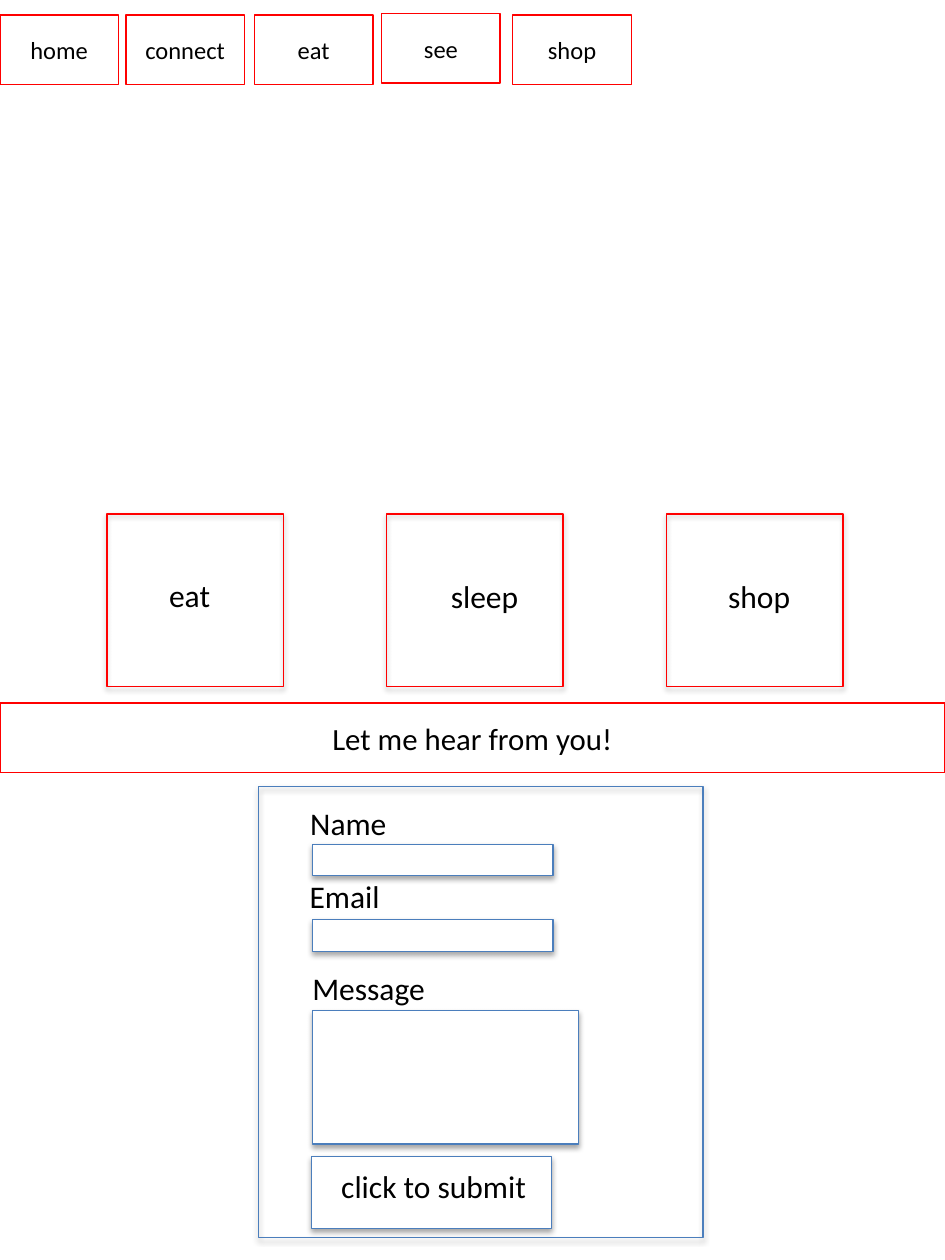
import pptx
import pptx.util
import pptx.dml.color
import pptx.enum.shapes
import pptx.enum.text
import pptx.oxml

Inches = pptx.util.Inches
Pt = pptx.util.Pt
CENTER = pptx.enum.text.PP_ALIGN.CENTER
LEFT = pptx.enum.text.PP_ALIGN.LEFT
RED, BLUE, WHITE, BLACK = "FF0000", "4B7EBC", "FFFFFF", "000000"
SHADOW = (
    '<a:effectLst xmlns:a="http://schemas.openxmlformats.org/drawingml/2006/main">'
    '<a:outerShdw blurRad="40000" dist="23000" dir="5400000" rotWithShape="0">'
    '<a:srgbClr val="000000"><a:alpha val="35000"/></a:srgbClr>'
    '</a:outerShdw></a:effectLst>'
)


def color(hex_code):
    return pptx.dml.color.RGBColor.from_string(hex_code)


def write(frame, words, size, align=CENTER):
    frame.text = words
    paragraph = frame.paragraphs[0]
    paragraph.alignment = align
    font = paragraph.runs[0].font
    font.name = "Calibri"
    font.size = Pt(size)
    font.color.rgb = color(BLACK)


def add_box(slide, left, top, width, height, outline, fill=None, raised=False):
    box = slide.shapes.add_shape(
        pptx.enum.shapes.MSO_SHAPE.RECTANGLE,
        Inches(left), Inches(top), Inches(width), Inches(height))
    if fill:
        box.fill.solid()
        box.fill.fore_color.rgb = color(fill)
    else:
        box.fill.background()
    box.line.color.rgb = color(outline)
    box.line.width = Pt(0.75)
    box.shadow.inherit = False
    if raised:
        properties = box.element.spPr
        plain = properties.find(pptx.oxml.ns.qn("a:effectLst"))
        properties.replace(plain, pptx.oxml.parse_xml(SHADOW))
    return box


def add_label(slide, left, top, width, words, align=CENTER):
    label = slide.shapes.add_textbox(
        Inches(left), Inches(top), Inches(width), Inches(0.4))
    label.text_frame.word_wrap = True
    write(label.text_frame, words, 18, align)


def add_button(slide, left, top, width, height, words, size):
    button = add_box(slide, left, top, width, height, RED)
    button.text_frame.vertical_anchor = pptx.enum.text.MSO_ANCHOR.MIDDLE
    write(button.text_frame, words, size)


def add_menu(slide, left, top):
    entries = [("home", 0, 0.01), ("connect", 1, 0.01), ("eat", 2.02, 0.01),
               ("see", 3.03, 0), ("shop", 4.07, 0.01)]
    for words, dx, dy in entries:
        add_button(slide, left + dx, top + dy, 0.94, 0.55, words, 14)


def add_tiles(slide, left, top):
    pitch = 2.22
    labels = [("eat", 0.31, 0.44, 0.69), ("sleep", 0.3, 0.45, 0.95),
              ("shop", 0.29, 0.45, 0.89)]
    for index, (words, dx, dy, width) in enumerate(labels):
        tile_left = left + index * pitch
        add_box(slide, tile_left, top, 1.4, 1.37, RED, raised=True)
        add_label(slide, tile_left + dx, top + dy, width, words)


def add_contact_form(slide, left, top, width, height):
    add_box(slide, left, top, width, height, BLUE, raised=True)
    fields = [("Name", 0.23, 0.09, 0.97, 0.46, 1.91, 0.25),
              ("Email", 0.2, 0.67, 0.97, 1.06, 1.91, 0.25),
              ("Message", 0.29, 1.4, 1.17, 1.78, 2.11, 1.06)]
    for words, dx, dy, label_width, field_dy, field_width, field_height in fields:
        add_label(slide, left + dx, top + dy, label_width, words)
        add_box(slide, left + 0.43, top + field_dy, field_width, field_height,
                BLUE, WHITE, raised=True)
    add_box(slide, left + 0.42, top + 2.94, 1.91, 0.57, BLUE, WHITE, raised=True)
    add_label(slide, left + 0.56, top + 2.97, 1.72, "click to submit", LEFT)


deck = pptx.Presentation()
deck.slide_width = Inches(7.5)
deck.slide_height = Inches(10)
page = deck.slides.add_slide(deck.slide_layouts[6])
add_button(page, 0, 5.58, 7.5, 0.55, "Let me hear from you!", 17.6)
add_contact_form(page, 2.05, 6.24, 3.53, 3.58)
add_menu(page, 0, 0.11)
add_tiles(page, 0.85, 4.08)
deck.save("out.pptx")
